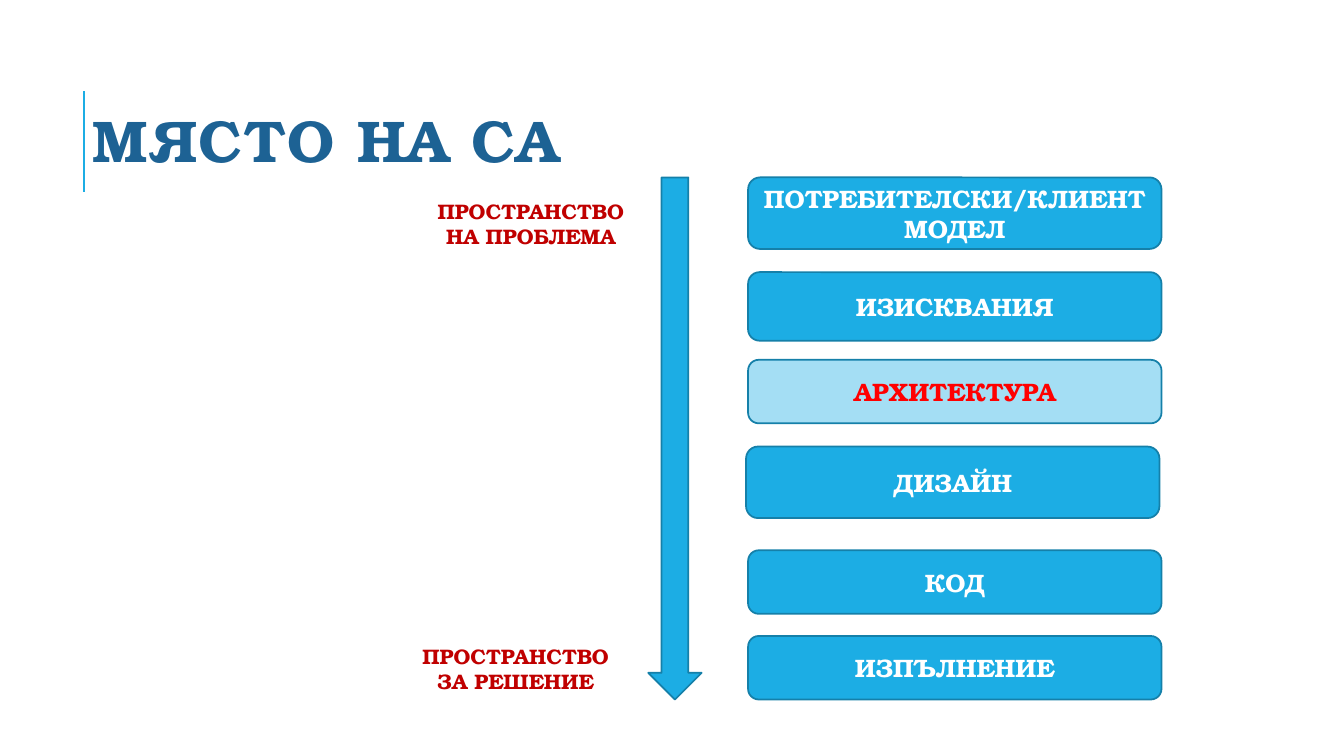
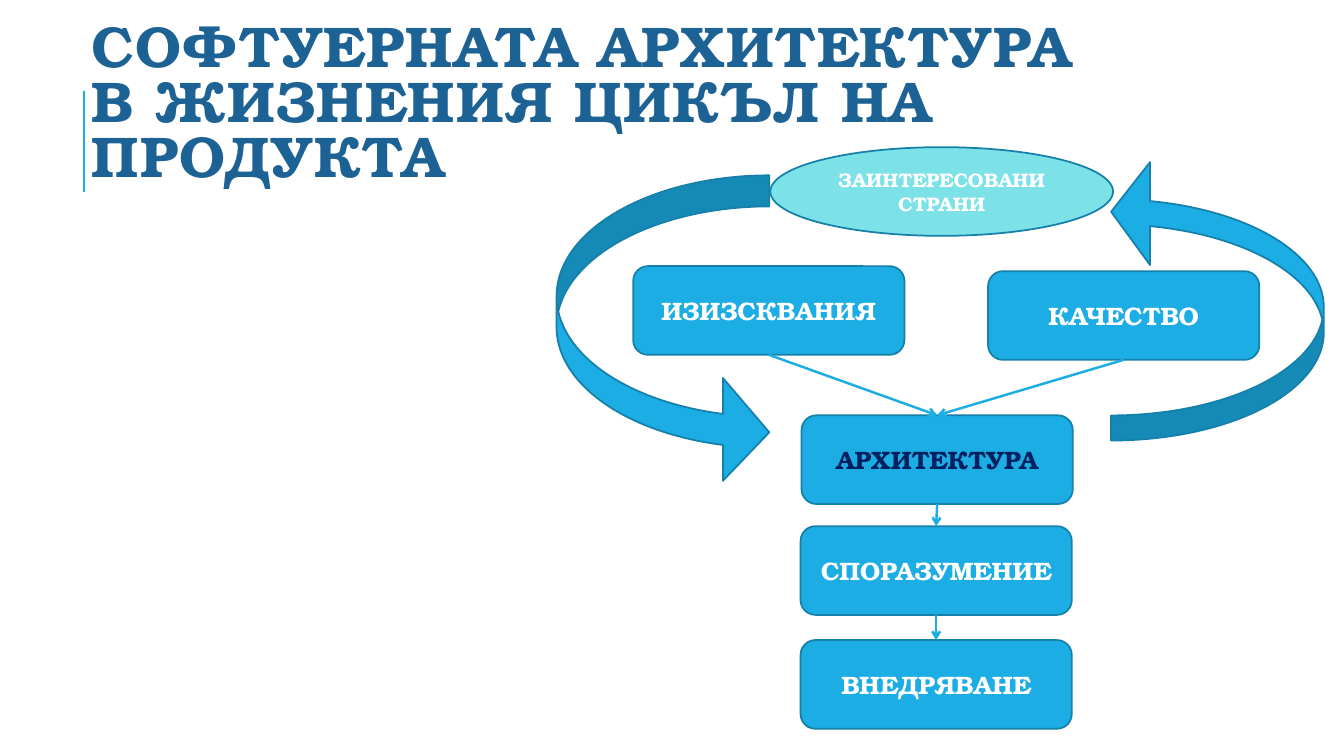
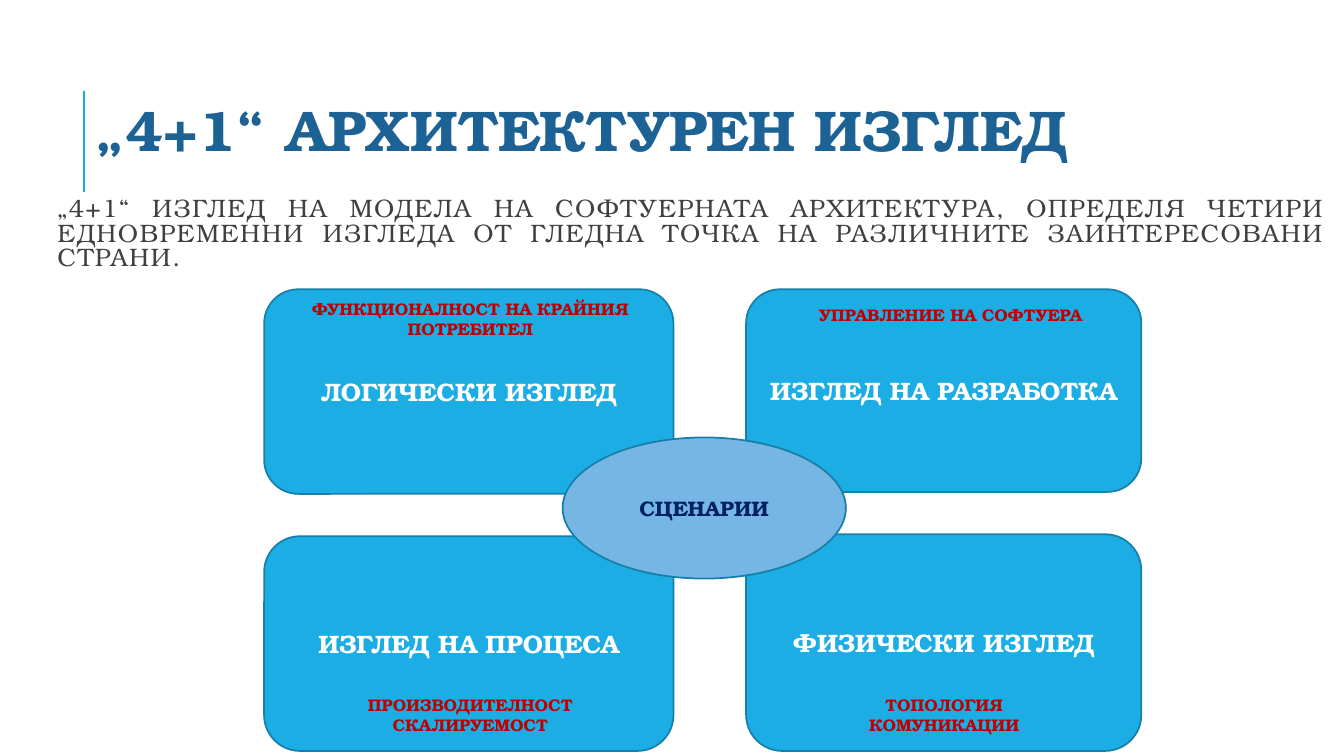
from pptx import Presentation
from pptx.dml.color import RGBColor
from pptx.enum.shapes import MSO_CONNECTOR, MSO_SHAPE
from pptx.enum.text import MSO_ANCHOR, MSO_AUTO_SIZE, PP_ALIGN
from pptx.oxml.ns import qn
from pptx.oxml.xmlchemy import OxmlElement
from pptx.util import Emu, Pt

PX = 9144  # 100 px to the inch
FONT = "TeX Gyre Bonum"
BLUE = RGBColor(0x1C, 0xAD, 0xE4)
EDGE = RGBColor(0x15, 0x80, 0xA9)
PALE_BLUE = RGBColor(0xA4, 0xDE, 0xF4)
AQUA = RGBColor(0x7D, 0xE2, 0xE7)
SKY = RGBColor(0x75, 0xB6, 0xE5)
TITLE_BLUE = RGBColor(0x1D, 0x62, 0x94)
NAVY = RGBColor(0x00, 0x20, 0x60)
DARK_RED = RGBColor(0xC0, 0x00, 0x00)
RED = RGBColor(0xFF, 0x00, 0x00)
GREY = RGBColor(0x40, 0x40, 0x40)
WHITE = RGBColor(0xFF, 0xFF, 0xFF)


def px(*lengths):
    return [Emu(length * PX) for length in lengths]


def apply(target, values):
    for name, value in values.items():
        setattr(target, name, value)


def write(shape, lines, size, color, bold=True, align=PP_ALIGN.CENTER,
          anchor=MSO_ANCHOR.MIDDLE, line_spacing=None, tracking=None):
    """Fill a shape with one paragraph per line of text."""
    frame = shape.text_frame
    frame.text = lines
    apply(frame, {"word_wrap": True, "auto_size": MSO_AUTO_SIZE.NONE,
                  "vertical_anchor": anchor})
    for paragraph in frame.paragraphs:
        apply(paragraph, {"alignment": align, "line_spacing": line_spacing})
        for run in paragraph.runs:
            apply(run.font, {"name": FONT, "size": Pt(size), "bold": bold})
            run.font.color.rgb = color
    if tracking:
        for properties in shape.element.iter(qn("a:rPr")):
            properties.set("spc", str(tracking * 100))


def add_label(slide, box, text, size, color, **style):
    label = slide.shapes.add_textbox(*px(*box))
    write(label, text, size, color, **{"anchor": MSO_ANCHOR.TOP, **style})


def add_block(slide, kind, box, text="", size=18, color=WHITE, fill=BLUE):
    block = slide.shapes.add_shape(kind, *px(*box))
    block.shadow.inherit = False
    block.fill.solid()
    block.fill.fore_color.rgb = fill
    block.line.color.rgb = EDGE
    block.line.width = Pt(1.25)
    if text:
        write(block, text, size, color)
    return block


def add_line(slide, ends, width):
    line = slide.shapes.add_connector(MSO_CONNECTOR.STRAIGHT, *px(*ends))
    line.line.color.rgb = BLUE
    line.line.width = Pt(width)
    line.element.spPr.append(OxmlElement("a:effectLst"))
    return line


def add_arrow(slide, source, target):
    """Arrow from the bottom of one block to the top of another."""
    arrow = add_line(slide, (0, 0, 0, 0), 1.75)
    arrow.begin_connect(source, 2)
    arrow.end_connect(target, 0)
    head = OxmlElement("a:tailEnd")
    head.set("type", "arrow")
    arrow.element.spPr.find(qn("a:ln")).append(head)


def add_title_slide(deck, box, text, size, **style):
    slide = deck.slides.add_slide(deck.slide_layouts[5])
    title = slide.shapes.title
    apply(title, dict(zip(("left", "top", "width", "height"), px(*box))))
    write(title, text, size, TITLE_BLUE, align=PP_ALIGN.LEFT,
          **{"line_spacing": 0.8, "tracking": 1, **style})
    return slide


def add_accent_to_layout(slide):
    """Move the rule beside the title to the shared layout."""
    accent = add_line(slide, (83, 190, 83, 90), 1.5)
    slide.slide_layout.shapes.element.append(accent.element)


def add_model_stack(slide, box):
    left, top, width, _ = box
    levels = [  # text, offset x, offset y, height
        ("ПОТРЕБИТЕЛСКИ/КЛИЕНТ МОДЕЛ", 0, 0, 71),
        ("ИЗИСКВАНИЯ", 0, 94, 68),
        ("АРХИТЕКТУРА", 0, 181, 63),
        ("ДИЗАЙН", -2, 267, 71),
        ("КОД", 0, 370, 63),
        ("ИЗПЪЛНЕНИЕ", 0, 455, 63),
    ]
    for text, dx, dy, height in levels:
        accent = {"color": RED, "fill": PALE_BLUE} if text == "АРХИТЕКТУРА" else {}
        add_block(slide, MSO_SHAPE.ROUNDED_RECTANGLE,
                  (left + dx, top + dy, width, height), text, **accent)


def add_space_axis(slide, box):
    left, top, width, height = box
    add_block(slide, MSO_SHAPE.DOWN_ARROW, (left + width - 53, top, 53, height))
    for text, dx, dy in (("ПРОСТРАНСТВО НА ПРОБЛЕМА", 15, 16),
                         ("ПРОСТРАНСТВО ЗА РЕШЕНИЕ", 0, height - 61)):
        add_label(slide, (left + dx, top + dy, 233, 61), text, 15, DARK_RED)


def add_life_cycle(slide, box):
    left, top, width, _ = box
    # Stages
    stages = [
        add_block(slide, MSO_SHAPE.ROUNDED_RECTANGLE,
                  (left + dx, top + dy, 269, 88), text, color=color)
        for text, dx, dy, color in (
            ("ИЗИЗСКВАНИЯ", 76, 118, WHITE),
            ("КАЧЕСТВО", 428, 123, WHITE),
            ("АРХИТЕКТУРА", 243, 266, NAVY),
            ("СПОРАЗУМЕНИЕ", 242, 376, WHITE),
            ("ВНЕДРЯВАНЕ", 242, 489, WHITE))
    ]
    requirements, quality, architecture, agreement, rollout = stages
    for source, target in ((requirements, architecture), (quality, architecture),
                           (architecture, agreement), (agreement, rollout)):
        add_arrow(slide, source, target)

    # Feedback loop
    for dx, dy, height, rotation, adjustments in (
            (0, 28, 306, 0, (0.146, 0.484, 0.218)),
            (width - 211, 13, 278, 180, (0.118, 0.484, 0.183))):
        loop = add_block(slide, MSO_SHAPE.CURVED_RIGHT_ARROW,
                         (left + dx, top + dy, 211, height))
        loop.rotation = rotation
        for index, value in enumerate(adjustments):
            loop.adjustments[index] = value
    add_block(slide, MSO_SHAPE.OVAL, (left + 212, top, 340, 88),
              "ЗАИНТЕРЕСОВАНИ СТРАНИ", size=14, fill=AQUA)


def add_views(slide, box):
    left, top, width, height = box
    right, bottom = left + width, top + height
    # Four views
    for text, x, y, w, h in (
            ("ЛОГИЧЕСКИ ИЗГЛЕД", left, top, 406, 203),
            ("ИЗГЛЕД НА РАЗРАБОТКА", right - 392, top, 392, 201),
            ("ИЗГЛЕД НА ПРОЦЕСА", left, bottom - 213, 406, 213),
            ("ФИЗИЧЕСКИ ИЗГЛЕД", right - 392, bottom - 215, 392, 215)):
        add_block(slide, MSO_SHAPE.ROUNDED_RECTANGLE, (x, y, w, h), text)

    # Shared scenarios
    add_block(slide, MSO_SHAPE.OVAL, (left + 296, top + 147, 281, 140),
              "СЦЕНАРИИ", size=15, color=NAVY, fill=SKY)

    # Concern of each view
    for text, dx, dy, w, h in (
            ("ФУНКЦИОНАЛНОСТ НА КРАЙНИЯ ПОТРЕБИТЕЛ", 25, 4, 359, 50),
            ("УПРАВЛЕНИЕ НА СОФТУЕРА", 524, 10, 314, 30),
            ("ПРОИЗВОДИТЕЛНОСТ\nСКАЛИРУЕМОСТ", 25, 397, 359, 50),
            ("ТОПОЛОГИЯ\nКОМУНИКАЦИИ", 495, 397, 359, 50)):
        add_label(slide, (left + dx, top + dy, w, h), text, 12, DARK_RED)


def main():
    deck = Presentation()
    deck.slide_width, deck.slide_height = px(1333, 750)

    # Place of software architecture
    place = add_title_slide(deck, (82, 72, 940, 144), "МЯСТО НА СА", 42)
    add_accent_to_layout(place)
    add_model_stack(place, (742, 176, 410, 518))
    add_space_axis(place, (395, 176, 301, 518))

    # Life cycle
    cycle = add_title_slide(
        deck, (81, 5, 1026, 200),
        "СОФТУЕРНАТА АРХИТЕКТУРА В ЖИЗНЕНИЯ ЦИКЪЛ НА ПРОДУКТА", 41)
    add_life_cycle(cycle, (552, 146, 761, 577))

    # 4+1 views
    views = add_title_slide(deck, (84, 88, 1204, 77), "„4+1“ АРХИТЕКТУРЕН ИЗГЛЕД", 41,
                            anchor=MSO_ANCHOR.TOP, line_spacing=None, tracking=None)
    add_views(views, (262, 287, 870, 458))
    add_label(views, (47, 161, 1277, 144),
              "„4+1“ ИЗГЛЕД НА МОДЕЛА НА СОФТУЕРНАТА АРХИТЕКТУРА, ОПРЕДЕЛЯ ЧЕТИРИ "
              "ЕДНОВРЕМЕННИ ИЗГЛЕДА ОТ ГЛЕДНА ТОЧКА НА РАЗЛИЧНИТЕ ЗАИНТЕРЕСОВАНИ СТРАНИ.",
              18, GREY, bold=False, align=PP_ALIGN.JUSTIFY,
              anchor=MSO_ANCHOR.MIDDLE, line_spacing=0.8, tracking=1)

    deck.save("out.pptx")


if __name__ == "__main__":
    main()
